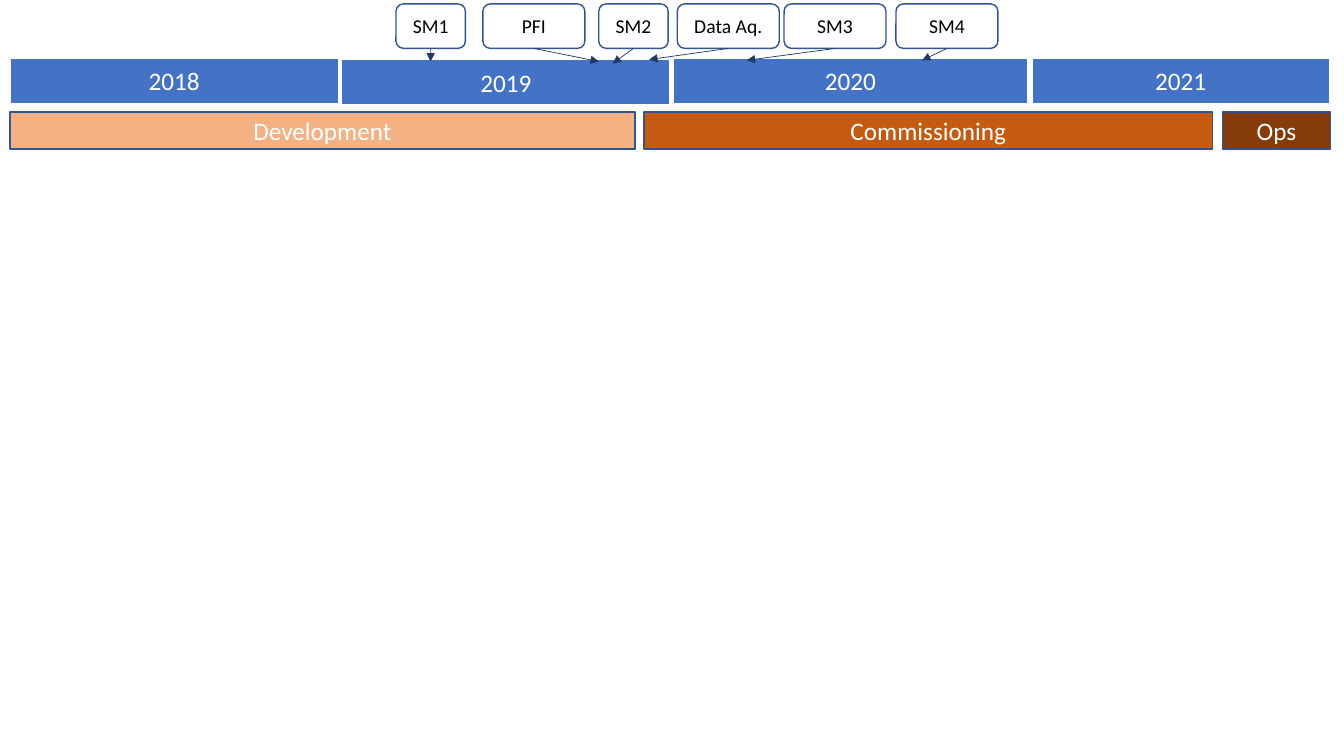
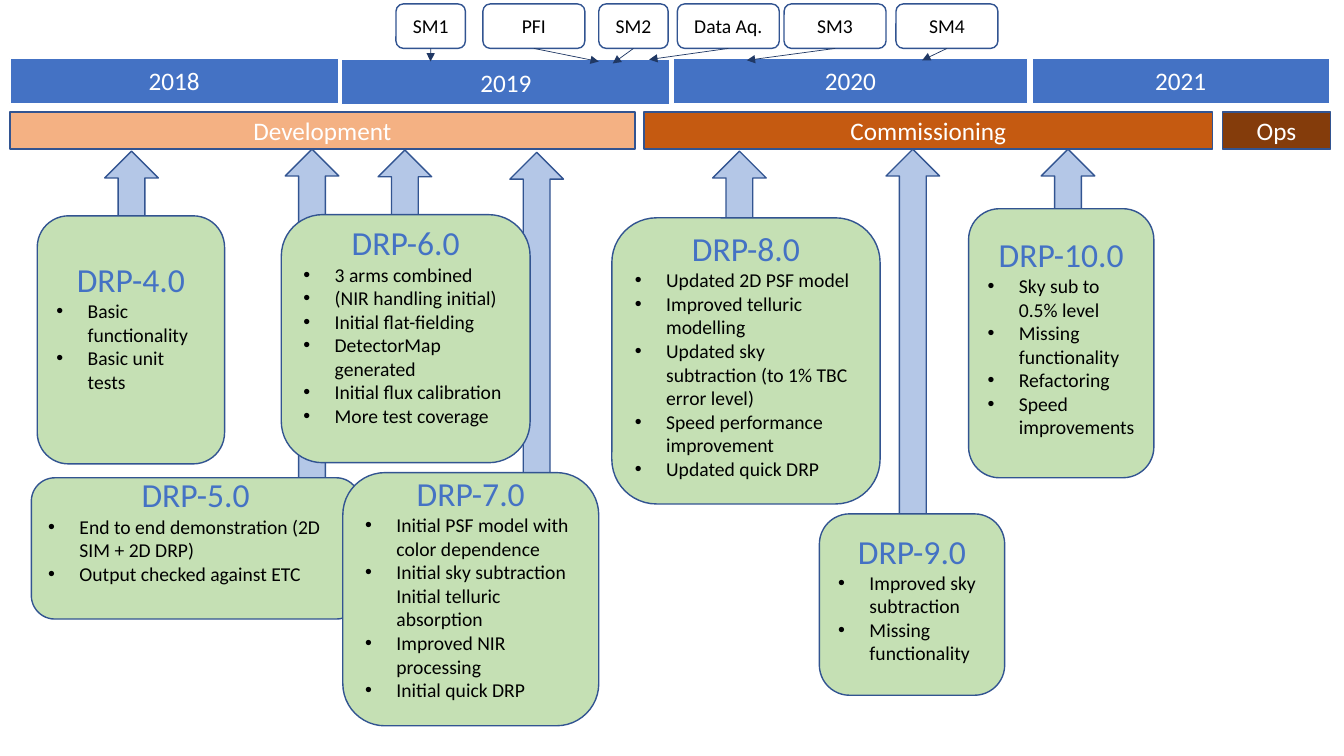
import pptx
import pptx.util
import pptx.dml.color
import pptx.enum.shapes
import pptx.enum.text
import pptx.oxml.ns
import lxml.etree

Cm = pptx.util.Cm
Pt = pptx.util.Pt
RGBColor = pptx.dml.color.RGBColor
SHAPES = pptx.enum.shapes.MSO_SHAPE
CENTER = pptx.enum.text.PP_ALIGN.CENTER
LEFT = pptx.enum.text.PP_ALIGN.LEFT
qn = pptx.oxml.ns.qn

FONT = "Calibri"
WHITE = RGBColor(0xFF, 0xFF, 0xFF)
BLACK = RGBColor(0x00, 0x00, 0x00)
BLUE = RGBColor(0x44, 0x72, 0xC4)
OUTLINE = RGBColor(0x32, 0x54, 0x91)
NAVY = RGBColor(0x20, 0x38, 0x64)
PALE_BLUE = RGBColor(0xB4, 0xC7, 0xE7)
GREEN = RGBColor(0xC5, 0xE0, 0xB4)
PEACH = RGBColor(0xF4, 0xB1, 0x83)
ORANGE = RGBColor(0xC5, 0x5A, 0x11)
BROWN = RGBColor(0x84, 0x3C, 0x0B)

# Timeline, lengths in centimetres
YEARS = [  # label, left, top, width
    ("2018", 0.25, 1.47, 8.28),
    ("2020", 16.97, 1.47, 8.92),
    ("2021", 26.01, 1.47, 7.49),
    ("2019", 8.61, 1.5, 8.28),
]
PHASES = [  # label, left, width, colour
    ("Development", 0.25, 15.75, PEACH),
    ("Commissioning", 16.23, 14.33, ORANGE),
    ("Ops", 30.81, 2.72, BROWN),
]
MILESTONES = [  # label, left, width, arrow end
    ("SM1", 9.98, 1.75, (10.85, 1.55)),
    ("PFI", 12.17, 2.57, (15.09, 1.55)),
    ("SM2", 15.09, 1.75, (15.44, 1.6)),
    ("Data Aq.", 17.07, 2.57, (16.36, 1.5)),
    ("SM3", 19.76, 2.57, (18.82, 1.52)),
    ("SM4", 22.58, 2.57, (23.24, 1.52)),
]
MILESTONE_TOP, MILESTONE_HEIGHT = 0.1, 1.12

# Releases: name, card box, bottom margin, arrow (left, top, height), features
RELEASES = [
    ("DRP-5.0", (0.79, 12.04, 8.28, 3.56), 1.07, (7.19, 3.76, 8.53),
     ["End to end demonstration (2D SIM + 2D DRP)",
      "Output checked against ETC"]),
    ("DRP-4.0", (0.94, 5.44, 4.72, 6.25), 0.82, (2.64, 3.81, 2.72),
     ["Basic functionality", "Basic unit tests"]),
    ("DRP-8.0", (15.42, 5.49, 6.76, 7.21), 0.47, (17.96, 3.81, 2.72),
     ["Updated 2D PSF model", "Improved telluric modelling",
      "Updated sky subtraction (to 1% TBC error level)",
      "Speed performance improvement", "Updated quick DRP"]),
    ("DRP-9.0", (20.65, 12.95, 4.67, 4.57), 0.47, (22.33, 3.76, 9.91),
     ["Improved sky subtraction", "Missing functionality"]),
    ("DRP-10.0", (24.41, 5.26, 4.67, 6.78), 0.47, (26.24, 3.76, 2.72),
     ["Sky sub to 0.5% level", "Missing functionality", "Refactoring",
      "Speed improvements"]),
    ("DRP-7.0", (8.64, 11.91, 6.45, 6.38), 0.73, (12.85, 3.84, 8.2),
     ["Initial PSF model with color dependence",
      "Initial sky subtraction Initial telluric absorption",
      "Improved NIR processing", "Initial quick DRP"]),
    ("DRP-6.0", (7.09, 5.41, 6.27, 6.25), 0.82, (9.53, 3.78, 2.72),
     ["3 arms combined", "(NIR handling initial)", "Initial flat-fielding",
      "DetectorMap generated", "Initial flux calibration",
      "More test coverage"]),
]
ARROW_WIDTH = 1.35


def add_box(slide, preset, box, fill, line=OUTLINE):
    shape = slide.shapes.add_shape(preset, *[Cm(length) for length in box])
    shape.shadow.inherit = False
    if fill is None:
        shape.fill.background()
    else:
        shape.fill.solid()
        shape.fill.fore_color.rgb = fill
    shape.line.color.rgb = line
    shape.line.width = Pt(1)
    shape.text_frame.word_wrap = True
    shape.text_frame.vertical_anchor = pptx.enum.text.MSO_ANCHOR.MIDDLE
    return shape


def write(paragraph, text, size, color, alignment=CENTER):
    paragraph.text = text
    paragraph.alignment = alignment
    font = paragraph.runs[0].font
    font.name = FONT
    font.size = Pt(size)
    font.color.rgb = color


presentation = pptx.Presentation()
presentation.slide_width = Cm(33.87)
presentation.slide_height = Cm(19.05)

for releases in ([], RELEASES):
    slide = presentation.slides.add_slide(presentation.slide_layouts[6])

    # Years and phases
    for label, left, top, width in YEARS:
        bar = add_box(slide, SHAPES.RECTANGLE, (left, top, width, 1.14), BLUE, WHITE)
        write(bar.text_frame.paragraphs[0], label, 18, WHITE)
    for label, left, width, color in PHASES:
        bar = add_box(slide, SHAPES.RECTANGLE, (left, 2.82, width, 0.94), color)
        write(bar.text_frame.paragraphs[0], label, 18, WHITE)

    # Milestones pointing at the years
    for label, left, width, (end_x, end_y) in MILESTONES:
        milestone = add_box(slide, SHAPES.ROUNDED_RECTANGLE,
                            (left, MILESTONE_TOP, width, MILESTONE_HEIGHT), None)
        write(milestone.text_frame.paragraphs[0], label, 14, BLACK)
        pointer = slide.shapes.add_connector(
            pptx.enum.shapes.MSO_CONNECTOR.STRAIGHT,
            Cm(left + width / 2), Cm(MILESTONE_TOP + MILESTONE_HEIGHT),
            Cm(end_x), Cm(end_y))
        pointer.line.color.rgb = NAVY
        pointer.line.width = Pt(0.5)
        lxml.etree.SubElement(pointer.line._get_or_add_ln(), qn("a:tailEnd"), type="triangle")
        lxml.etree.SubElement(pointer._element.spPr, qn("a:effectLst"))

    # Release cards with their arrows
    for name, card_box, bottom_margin, (left, top, height), features in releases:
        add_box(slide, SHAPES.UP_ARROW, (left, top, ARROW_WIDTH, height), PALE_BLUE)
        card = add_box(slide, SHAPES.ROUNDED_RECTANGLE, card_box, GREEN)
        text_frame = card.text_frame
        text_frame.margin_bottom = Cm(bottom_margin)
        write(text_frame.paragraphs[0], name, 24, BLUE)
        for feature in features:
            paragraph = text_frame.add_paragraph()
            write(paragraph, feature, 14, BLACK, LEFT)
            properties = paragraph._p.get_or_add_pPr()
            properties.set("marL", str(Cm(0.79)))
            properties.set("indent", str(-Cm(0.79)))
            lxml.etree.SubElement(properties, qn("a:buFont"), typeface="Arial")
            lxml.etree.SubElement(properties, qn("a:buChar"), char="•")

presentation.save("out.pptx")
